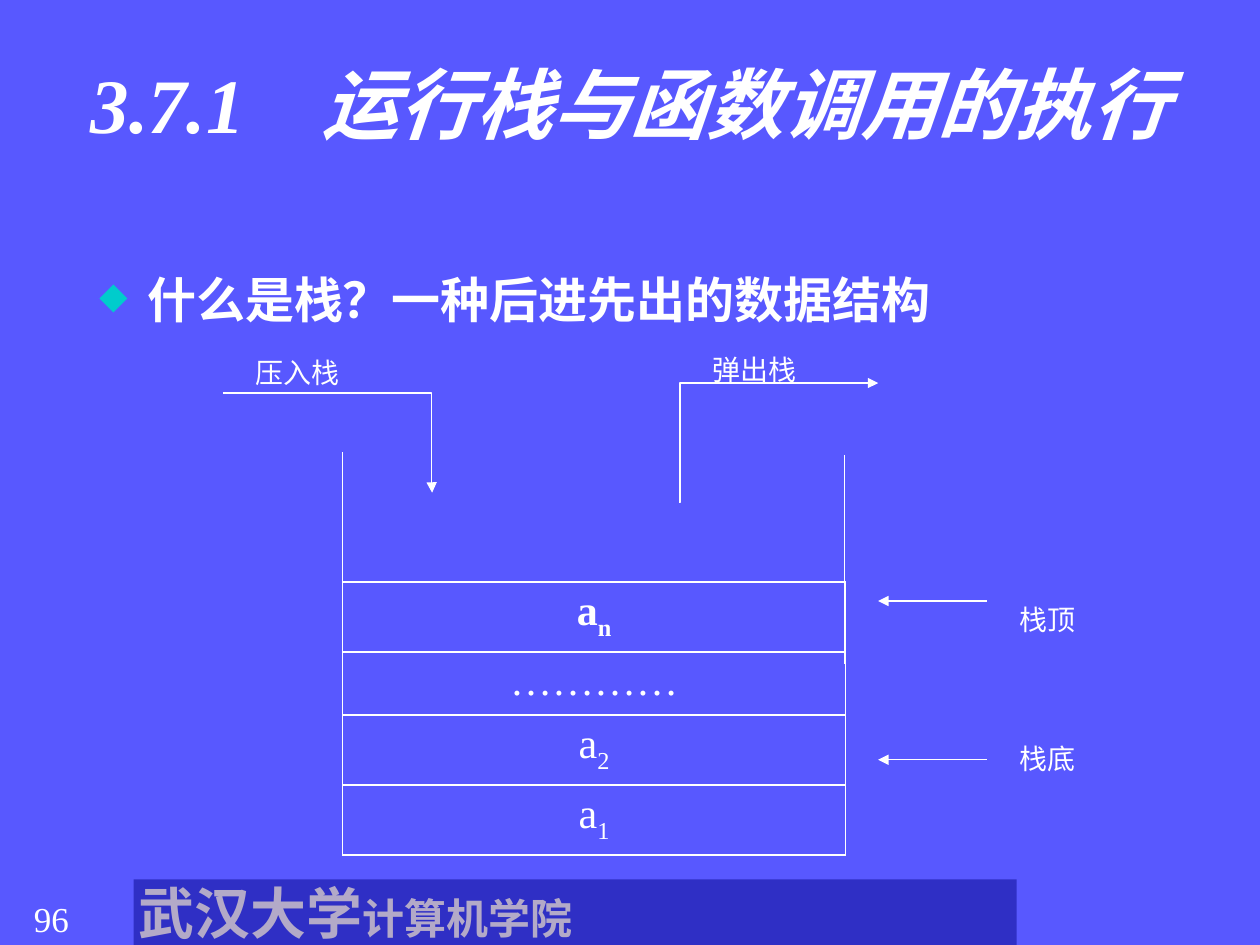
from dataclasses import dataclass

from lxml import etree
from pptx import Presentation
from pptx.dml.color import RGBColor
from pptx.enum.shapes import MSO_CONNECTOR, MSO_SHAPE
from pptx.enum.text import MSO_ANCHOR, MSO_AUTO_SIZE, PP_ALIGN
from pptx.oxml.ns import qn
from pptx.util import Inches, Pt

STRAIGHT, ELBOW = MSO_CONNECTOR.STRAIGHT, MSO_CONNECTOR.ELBOW
RECTANGLE = MSO_SHAPE.RECTANGLE
TOP, MIDDLE = MSO_ANCHOR.TOP, MSO_ANCHOR.MIDDLE
GROW = MSO_AUTO_SIZE.SHAPE_TO_FIT_TEXT
LEFT, CENTER, JUSTIFY = PP_ALIGN.LEFT, PP_ALIGN.CENTER, PP_ALIGN.JUSTIFY


@dataclass(frozen=True)
class Theme:
    background: str = "5858FF"
    ink: str = "FFFFFF"
    bullet: str = "00CCCC"
    band: str = "2F2FC5"
    band_ink: str = "B3AAC8"
    serif: str = "Times New Roman"
    sans: str = "Noto Sans CJK SC"
    title: int = 44
    school: int = 32
    body: int = 28
    cell: int = 24
    number: int = 20
    label: int = 16
    line: float = 0.75
    border: float = 1


def color(value):
    return RGBColor.from_string(value)


def child(parent, tag, **attributes):
    return etree.SubElement(parent, qn(tag), attributes)


class StackSlide:
    """Draws the parts of the run-time stack slide in one theme."""

    def __init__(self, page, theme):
        self.page, self.theme = page, theme
        page.background.fill.solid()
        page.background.fill.fore_color.rgb = color(theme.background)

    def style(self, para, size, bold=False, italic=False, face=None, ink=None):
        font = para.font
        font.name = face or self.theme.serif
        font.size, font.bold, font.italic = Pt(size), bold, italic
        font.color.rgb = color(ink or self.theme.ink)
        defaults = para._p.pPr.find(qn("a:defRPr"))
        child(defaults, "a:ea", typeface=self.theme.sans)

    def text(self, words, place, size, align=LEFT, anchor=TOP, spacing=None,
             side=0.1, grow=False, bullet=False, **look):
        box = self.page.shapes.add_textbox(*map(Inches, place))
        frame = box.text_frame
        frame.word_wrap = True
        frame.vertical_anchor = anchor
        frame.margin_left = frame.margin_right = Inches(side)
        if grow:
            frame.auto_size = GROW
        para = frame.paragraphs[0]
        para.text, para.alignment = words, align
        if spacing:
            para.line_spacing = spacing
        if bullet:
            self.bullet(para)
        self.style(para, size, **look)

    def bullet(self, para):
        indent = Inches(0.38)
        props = para._p.get_or_add_pPr()
        props.set("marL", str(indent))
        props.set("indent", str(-indent))
        child(child(props, "a:buClr"), "a:srgbClr", val=self.theme.bullet)
        child(props, "a:buSzPct", val="75000")
        child(props, "a:buChar", char="◆")

    def label(self, words, left, top):
        self.text(words, (left, top, 1.12, 0.45), self.theme.label,
                  anchor=MIDDLE, spacing=1.5, grow=True)

    def band(self, place, parts):
        band = self.page.shapes.add_shape(RECTANGLE, *map(Inches, place))
        band.shadow.inherit = False
        band.fill.solid()
        band.fill.fore_color.rgb = color(self.theme.band)
        band.line.fill.background()
        frame = band.text_frame
        frame.margin_left = frame.margin_right = Inches(0.04)
        frame.margin_top = frame.margin_bottom = 0
        frame.vertical_anchor = MIDDLE
        para = frame.paragraphs[0]
        para.alignment = JUSTIFY
        for words, size in parts:
            span = para.add_run()
            span.text, span.font.size = words, Pt(size)
        self.style(para, self.theme.school, bold=True, face=self.theme.sans,
                   ink=self.theme.band_ink)

    def line(self, start, end, arrow=False, bend=None):
        kind = STRAIGHT if bend is None else ELBOW
        line = self.page.shapes.add_connector(kind, *map(Inches, start + end))
        line.line.color.rgb = color(self.theme.ink)
        line.line.width = Pt(self.theme.line)
        props = line._element.spPr
        if arrow:
            child(props.find(qn("a:ln")), "a:tailEnd", type="triangle")
        if bend is not None:
            guides = props.find(qn("a:prstGeom")).find(qn("a:avLst"))
            child(guides, "a:gd", name="adj1", fmla=f"val {bend}")
        child(props, "a:effectLst")

    def border(self, cell):
        props = cell._tc.get_or_add_tcPr()
        for side in ("a:lnL", "a:lnR", "a:lnT", "a:lnB"):
            edge = child(props, side, w=str(Pt(self.theme.border)))
            child(child(edge, "a:solidFill"), "a:srgbClr", val=self.theme.ink)

    def stack(self, place, items):
        table = self.page.shapes.add_table(len(items), 1, *map(Inches, place)).table
        table.first_row = table.horz_banding = False
        for index, (name, subscript) in enumerate(items):
            cell = table.cell(index, 0)
            self.border(cell)
            cell.fill.background()
            para = cell.text_frame.paragraphs[0]
            para.alignment = CENTER
            para.add_run().text = name
            if subscript:
                span = para.add_run()
                span.text = subscript
                span._r.get_or_add_rPr().set("baseline", "-25000")
            self.style(para, self.theme.cell, bold=index == 0)


def main():
    deck = Presentation()
    deck.slide_width, deck.slide_height = Inches(10), Inches(7.5)
    theme = Theme()
    slide = StackSlide(deck.slides.add_slide(deck.slide_layouts[6]), theme)

    slide.text("96", (0.17, 7.07, 0.83, 0.43), theme.number, grow=True)
    slide.band((1.06, 6.98, 7.01, 0.52),
               [("武汉大学", theme.school), ("计算机学院", theme.cell)])
    slide.text("3.7.1　运行栈与函数调用的执行", (0.69, 0.4, 8.62, 1.45),
               theme.title, align=CENTER, side=0, bold=True, italic=True)
    slide.text("什么是栈？一种后进先出的数据结构", (0.69, 2, 8.62, 4.76),
               theme.body, spacing=1.2, bullet=True, bold=True, face=theme.sans)

    slide.stack((2.72, 4.62, 3.99, 1.64),
                [("a", "n"), ("…………", ""), ("a", "2"), ("a", "1")])
    for x, top in ((2.72, 3.59), (6.7, 3.61)):
        slide.line((x, top), (x, top + 1.66))

    slide.line((1.77, 3.12), (3.43, 3.91), arrow=True, bend=99800)
    slide.line((5.39, 3.99), (6.97, 3.04), arrow=True, bend=400)
    slide.label("压入栈", 1.93, 2.66)
    slide.label("弹出栈", 5.56, 2.64)

    for words, arrow_y, label_y in (("栈顶", 4.77, 4.62), ("栈底", 6.03, 5.73)):
        slide.line((7.83, arrow_y), (6.97, arrow_y), arrow=True)
        slide.label(words, 7.99, label_y)

    deck.save("out.pptx")


if __name__ == "__main__":
    main()
